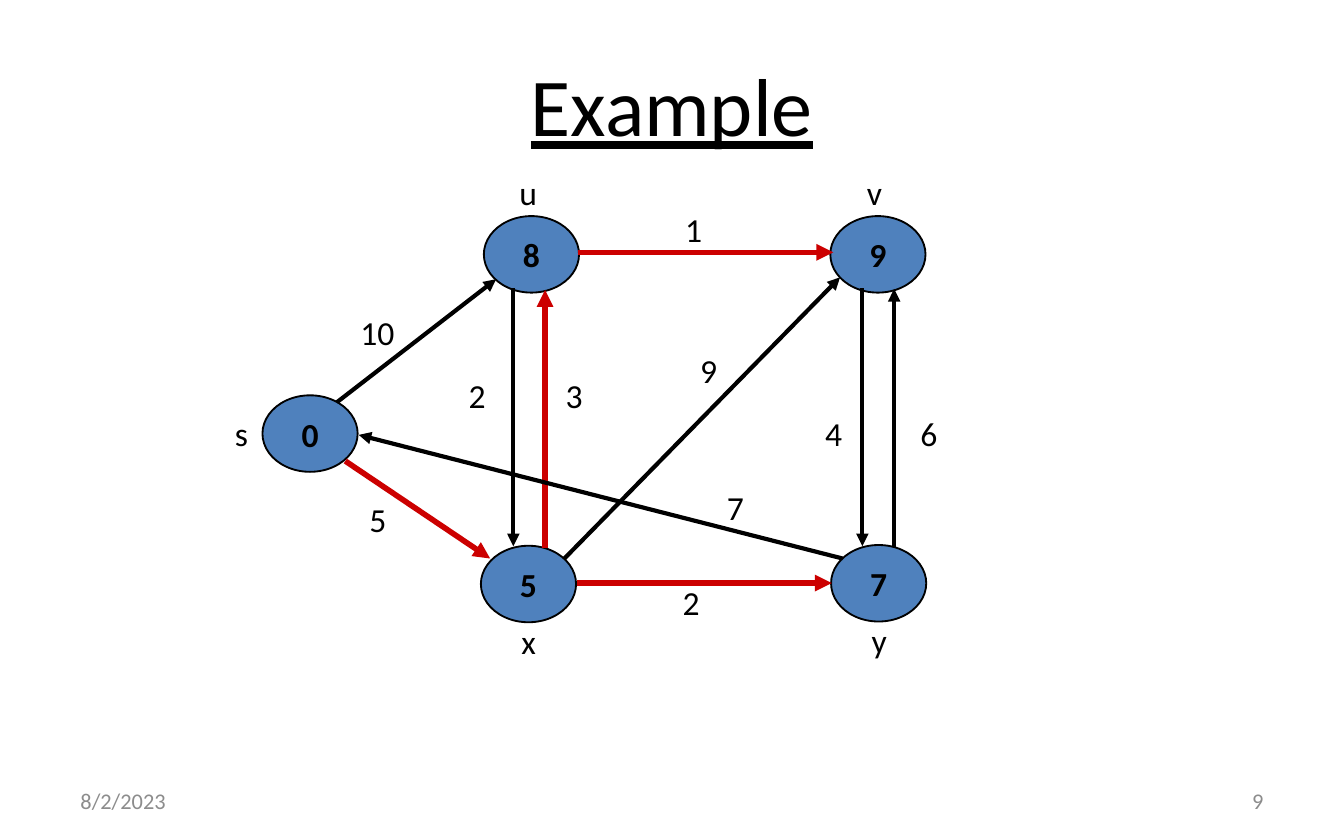
"""Build a slide with a weighted directed graph and its shortest-path tree."""
from lxml import etree
from pptx import Presentation
from pptx.dml.color import RGBColor
from pptx.enum import shapes, text
from pptx.oxml import ns
from pptx.util import Pt


def color(fmt, value):
    fmt.rgb = RGBColor.from_string(value)


def add_label(s, label, x, y, w, h, size=18, ink="000000"):
    sp = s.shapes.add_textbox(Pt(x), Pt(y), Pt(w), Pt(h))
    tf = sp.text_frame
    p = tf.paragraphs[0]
    p.text = label
    p.font.name, p.font.size = "Calibri", Pt(size)
    color(p.font.color, ink)
    return tf


prs = Presentation()
prs.slide_width, prs.slide_height = Pt(720), Pt(450)
s = prs.slides.add_slide(prs.slide_layouts[5])

title = s.shapes.title
title.left, title.top, title.width, title.height = Pt(36), Pt(18), Pt(648), Pt(75)
tf = title.text_frame
tf.vertical_anchor = text.MSO_ANCHOR.MIDDLE
p = tf.paragraphs[0]
p.text = "Example"
p.alignment = text.PP_ALIGN.CENTER
p.font.name, p.font.size, p.font.underline = "Calibri", Pt(44), True
color(p.font.color, "000000")

nodes = [
    ("0", 140.6, 211.8),
    ("7", 445.2, 292),
    ("5", 257.6, 292.4),
    ("9", 444.8, 115.8),
    ("8", 259.2, 115.8),
]
for distance, x, y in nodes:
    sp = s.shapes.add_shape(shapes.MSO_SHAPE.OVAL, Pt(x), Pt(y), Pt(51), Pt(41))
    sp.shadow.inherit = False
    sp.fill.solid()
    color(sp.fill.fore_color, "4F81BD")
    color(sp.line.color, "000000")
    sp.line.width = Pt(1)
    tf = sp.text_frame
    tf.word_wrap = False
    tf.vertical_anchor = text.MSO_ANCHOR.MIDDLE
    p = tf.paragraphs[0]
    p.text = distance
    p.alignment = text.PP_ALIGN.CENTER
    p.font.name, p.font.size, p.font.bold = "Calibri", Pt(18), True
    color(p.font.color, "000000")

edges = [
    (180.5, 215.5, 265.8, 149.6, False),
    (185, 247, 262.6, 299.2, True),
    (275, 154.4, 275, 292.6, False),
    (292, 293.6, 292, 155.4, True),
    (462, 154.4, 462, 292.6, False),
    (479, 293, 479, 154.8, False),
    (309, 312.4, 445.6, 312.4, True),
    (309.6, 135.2, 446.4, 135.2, True),
    (302.4, 299.2, 450, 148.6, False),
    (451.4, 299.2, 192.2, 233, False),
]
for x1, y1, x2, y2, in_tree in edges:
    edge = s.shapes.add_connector(
        shapes.MSO_CONNECTOR.STRAIGHT, Pt(x1), Pt(y1), Pt(x2), Pt(y2))
    color(edge.line.color, "CC0000" if in_tree else "000000")
    edge.line.width = Pt(3 if in_tree else 2.25)
    etree.SubElement(edge.line._get_or_add_ln(), ns.qn("a:tailEnd"), type="triangle")
    etree.SubElement(edge._element.spPr, ns.qn("a:effectLst"))

labels = [
    ("s", 118.8, 217.6, 21.6),
    ("u", 271.2, 88.6, 24.2),
    ("v", 457.4, 88.6, 22.8),
    ("x", 272.2, 329, 22.4),
    ("y", 459.8, 328.4, 23),
    ("10", 186, 163.4, 33),
    ("1", 360, 108.6, 23.8),
    ("9", 368, 184, 23.8),
    ("2", 358.6, 308.4, 23.8),
    ("4", 435, 217.6, 23.8),
    ("6", 486, 217.6, 23.8),
    ("5", 190.8, 263.8, 23.8),
    ("2", 244, 197.4, 23.8),
    ("3", 296, 197.4, 23.8),
    ("7", 382.4, 257.2, 23.8),
]
for label, x, y, w in labels:
    tf = add_label(s, label, x, y, w, 29)
    tf.word_wrap = False
    tf.auto_size = text.MSO_AUTO_SIZE.SHAPE_TO_FIT_TEXT

footers = [("8/2/2023", 36, text.PP_ALIGN.LEFT), ("9", 516, text.PP_ALIGN.RIGHT)]
for label, x, align in footers:
    tf = add_label(s, label, x, 417, 168, 24, 12, "8C8C8C")
    tf.word_wrap = True
    tf.vertical_anchor = text.MSO_ANCHOR.MIDDLE
    tf.paragraphs[0].alignment = align

prs.save("out.pptx")
